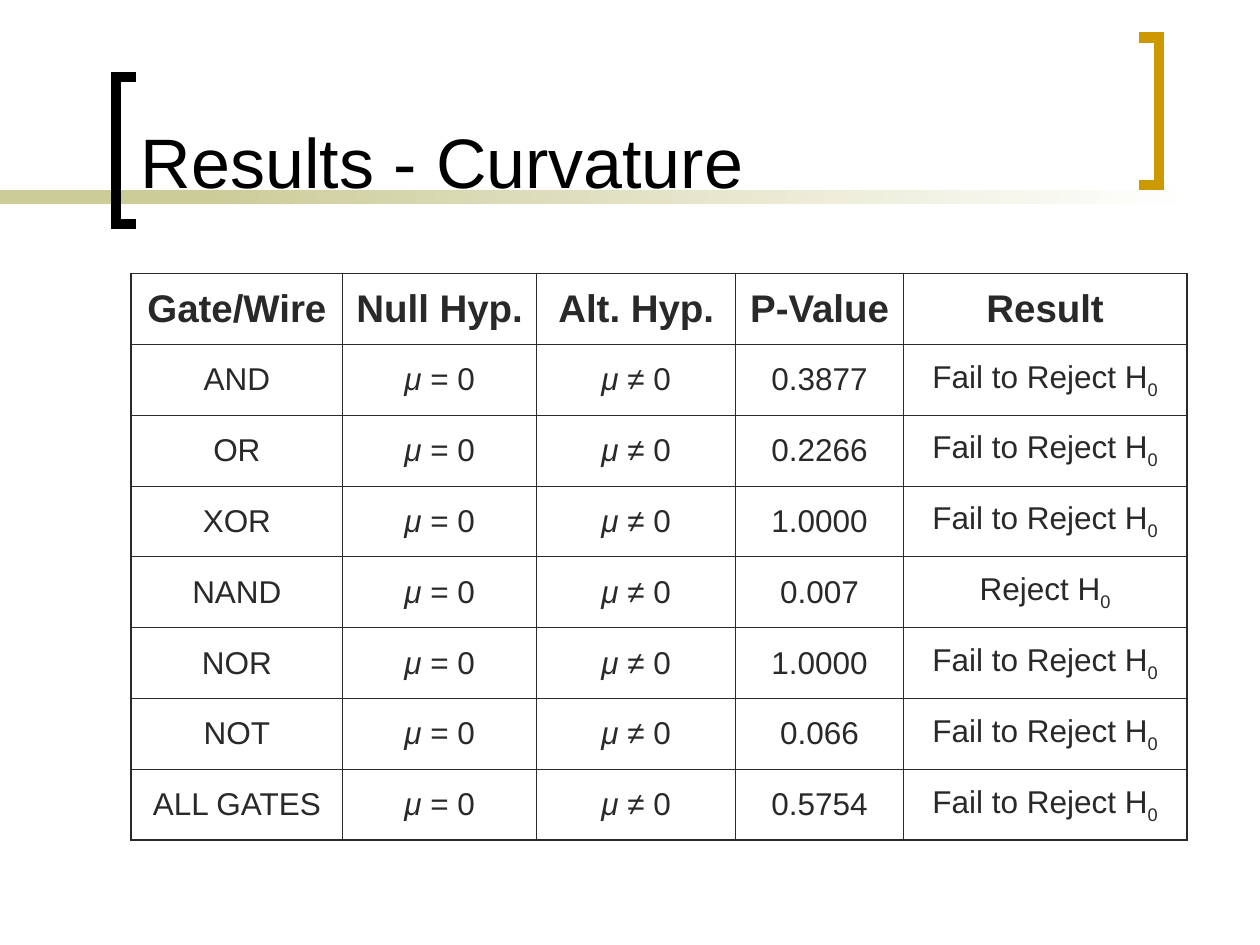
import pptx
import pptx.dml.color
import pptx.enum.shapes
import pptx.enum.text
import pptx.oxml
import pptx.oxml.ns
import pptx.util
from pptx.util import Inches

FONT = "Arial"
INK = "292929"
KHAKI = "CCCC99"
THIN, THICK = 0.45, 1.08
HEADERS = ["Gate/Wire", "Null Hyp.", "Alt. Hyp.", "P-Value", "Result"]
COLUMN_WIDTHS = [1.68, 1.54, 1.58, 1.33, 2.25]
RESULTS = [
    ("AND", "0.3877", "Fail to Reject"),
    ("OR", "0.2266", "Fail to Reject"),
    ("XOR", "1.0000", "Fail to Reject"),
    ("NAND", "0.007", "Reject"),
    ("NOR", "1.0000", "Fail to Reject"),
    ("NOT", "0.066", "Fail to Reject"),
    ("ALL GATES", "0.5754", "Fail to Reject"),
]


def rgb(color):
    return pptx.dml.color.RGBColor.from_string(color)


def add_run(p, text, size=18, color=INK, bold=False, italic=False, baseline=0):
    r = p.add_run()
    r.text = text
    r.font.name = FONT
    r.font.size = pptx.util.Pt(size)
    r.font.color.rgb = rgb(color)
    r.font.bold = bold
    r.font.italic = italic
    if baseline:
        r.font._element.set("baseline", str(baseline * 1000))


def add_bar(slide, left, width, gradient=False):
    sp = slide.shapes.add_shape(
        pptx.enum.shapes.MSO_SHAPE.RECTANGLE,
        Inches(left), Inches(1.51), Inches(width), Inches(0.11))
    sp.shadow.inherit = False
    sp.line.fill.background()
    if gradient:
        sp.fill.gradient()
        sp.fill.gradient_angle = 180
        for stop, color in zip(sp.fill.gradient_stops, ("FFFFFF", KHAKI)):
            stop.color.rgb = rgb(color)
    else:
        sp.fill.solid()
        sp.fill.fore_color.rgb = rgb(KHAKI)


def add_bracket(slide, spine, tip, top, color):
    bottom = top + 1.17
    builder = slide.shapes.build_freeform(Inches(tip), Inches(top))
    builder.add_line_segments(
        [(Inches(x), Inches(y))
         for x, y in ((spine, top), (spine, bottom), (tip, bottom))],
        close=False)
    sp = builder.convert_to_shape()
    sp.shadow.inherit = False
    sp.fill.background()
    sp.line.color.rgb = rgb(color)
    sp.line.width = pptx.util.Pt(6)
    ln = sp.line._get_or_add_ln()
    ln.append(pptx.oxml.parse_xml(
        f'<a:miter {pptx.oxml.ns.nsdecls("a")} lim="800000"/>'))


def add_title(slide, text):
    sp = slide.shapes.add_textbox(
        Inches(1.02), Inches(0.11), Inches(7.83), Inches(1.55))
    tf = sp.text_frame
    tf.word_wrap = True
    tf.vertical_anchor = pptx.enum.text.MSO_ANCHOR.BOTTOM
    add_run(tf.paragraphs[0], text, size=40, color="000000")


def set_borders(cell, **widths):
    tcPr = cell._tc.get_or_add_tcPr()
    for index, side in enumerate("LRTB"):
        tcPr.insert(index, pptx.oxml.parse_xml(
            f'<a:ln{side} {pptx.oxml.ns.nsdecls("a")} '
            f'w="{pptx.util.Pt(widths[side])}"><a:solidFill>'
            f'<a:srgbClr val="{INK}"/></a:solidFill></a:ln{side}>'))


def fill_cell(cell, runs, space_before):
    cell.fill.background()
    cell.vertical_anchor = pptx.enum.text.MSO_ANCHOR.MIDDLE
    p = cell.text_frame.paragraphs[0]
    p.alignment = pptx.enum.text.PP_ALIGN.CENTER
    p.space_before = pptx.util.Pt(space_before)
    for text, style in runs:
        add_run(p, text, **style)


def result_row(gate, p_value, verdict):
    mu = ("μ", {"italic": True})
    return [
        [(gate, {})],
        [mu, (" = 0", {})],
        [mu, (" ≠ 0", {})],
        [(p_value, {})],
        [(f"{verdict} H", {}), ("0", {"baseline": -25})],
    ]


def add_results_table(slide):
    rows = [[[(text, {"size": 22, "bold": True})] for text in HEADERS]]
    rows += [result_row(*result) for result in RESULTS]
    last_row, last_col = len(rows) - 1, len(HEADERS) - 1
    table = slide.shapes.add_table(
        len(rows), len(HEADERS), Inches(1.04), Inches(2.17),
        Inches(sum(COLUMN_WIDTHS)), Inches(4.5)).table
    table.first_row = False
    table.horz_banding = False
    for column, width in zip(table.columns, COLUMN_WIDTHS):
        column.width = Inches(width)
    for i, row in enumerate(rows):
        for j, runs in enumerate(row):
            cell = table.cell(i, j)
            fill_cell(cell, runs, 4.5 if i else 5.5)
            set_borders(
                cell,
                L=THIN if j else THICK,
                R=THICK if j == last_col else THIN,
                T=THIN if i else THICK,
                B=THICK if i == last_row else THIN)


def main():
    prs = pptx.Presentation()
    prs.slide_width = Inches(10)
    prs.slide_height = Inches(7.5)
    slide = prs.slides.add_slide(prs.slide_layouts[6])
    add_bar(slide, 0, 2.33)
    add_bar(slide, 1.58, 7.92, gradient=True)
    add_bracket(slide, 0.92, 1.08, 0.61, "000000")
    add_bracket(slide, 9.2, 9.04, 0.3, "CC9900")
    add_title(slide, "Results - Curvature")
    add_results_table(slide)
    prs.save("out.pptx")


if __name__ == "__main__":
    main()
